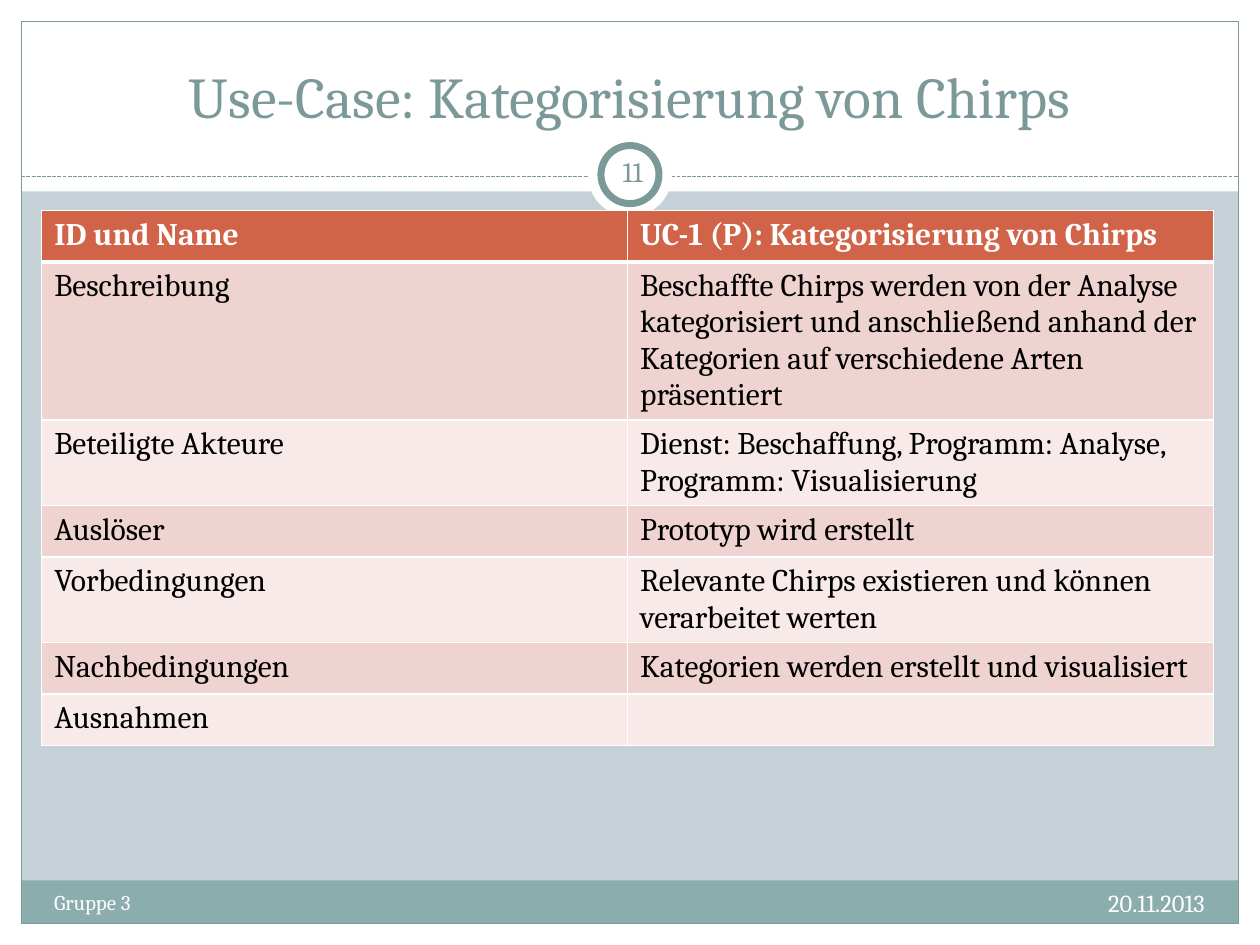
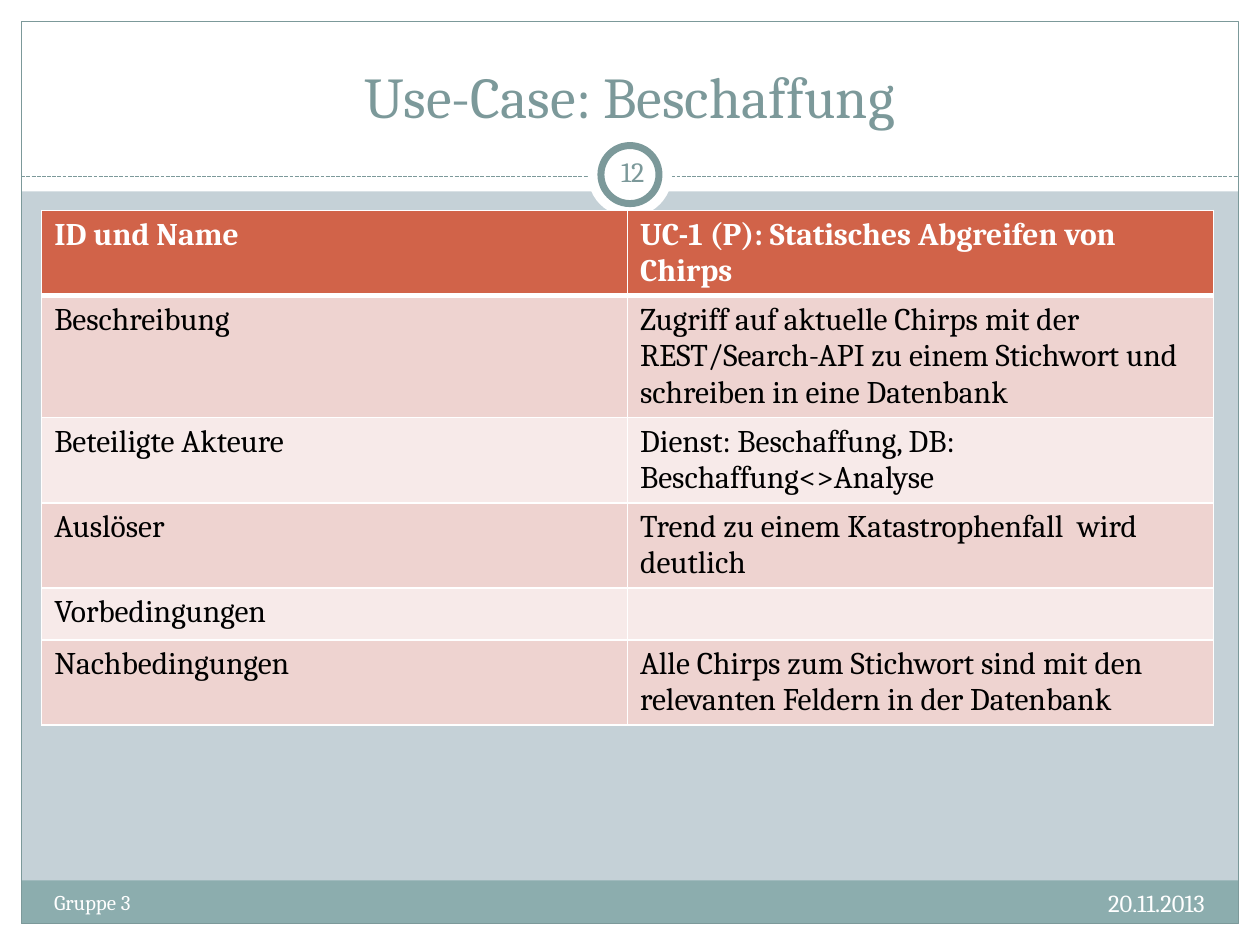
from lxml.etree import SubElement
from pptx import Presentation
from pptx.dml.color import RGBColor
from pptx.enum.dml import MSO_LINE_DASH_STYLE as Dash
from pptx.enum.shapes import MSO_CONNECTOR_TYPE as Connector, MSO_SHAPE as Shape
from pptx.enum.text import MSO_ANCHOR as Anchor, MSO_AUTO_SIZE as AutoSize, PP_ALIGN as Align
from pptx.oxml.ns import qn
from pptx.util import Cm, Pt

COLOURS = {
    "background": "C5D1D7", "white": "FFFFFF", "black": "000000",
    "accent": "7C999A", "footer": "8CADAE",
    "header": "D16349", "odd_row": "EED3D0", "even_row": "F7EAE9",
}
FONT = "Cambria"
WIDTH, HEIGHT = 25.4, 19.05
MARGIN = 0.43
TITLE_BOX = (0.84, 0.64, 23.7, 2.11)
TABLE_BOX = (0.84, 4.24, 23.62)
ROW_HEIGHT = 1.04
BADGE_CENTRE = (WIDTH / 2, 3.52)

USE_CASES = [
    (11, "Use-Case: Kategorisierung von Chirps", [
        ("ID und Name", "UC-1 (P): Kategorisierung von Chirps"),
        ("Beschreibung", "Beschaffte Chirps werden von der Analyse kategorisiert und "
                         "anschließend anhand der Kategorien auf verschiedene Arten präsentiert"),
        ("Beteiligte Akteure", "Dienst: Beschaffung, Programm: Analyse, "
                               "Programm: Visualisierung"),
        ("Auslöser", "Prototyp wird erstellt"),
        ("Vorbedingungen", "Relevante Chirps existieren und können verarbeitet werten"),
        ("Nachbedingungen", "Kategorien werden erstellt und visualisiert"),
        ("Ausnahmen", ""),
    ]),
    (12, "Use-Case: Beschaffung", [
        ("ID und Name", "UC-1 (P): Statisches Abgreifen von Chirps"),
        ("Beschreibung", "Zugriff auf aktuelle Chirps mit der REST/Search-API zu einem "
                         "Stichwort und schreiben in eine Datenbank"),
        ("Beteiligte Akteure", "Dienst: Beschaffung, DB: Beschaffung<>Analyse"),
        ("Auslöser", "Trend zu einem Katastrophenfall  wird deutlich"),
        ("Vorbedingungen", ""),
        ("Nachbedingungen", "Alle Chirps zum Stichwort sind mit den relevanten Feldern "
                            "in der Datenbank"),
    ]),
]


def colour(key):
    """Return a palette colour."""
    return RGBColor.from_string(COLOURS[key])


def cm_box(box):
    """Turn centimetre numbers into lengths."""
    return [Cm(value) for value in box]


def write(frame, text, size, ink, align=Align.LEFT, anchor=Anchor.TOP):
    """Fill a text frame with one formatted paragraph."""
    frame.text = text
    frame.word_wrap = True
    frame.auto_size = AutoSize.NONE
    frame.vertical_anchor = anchor
    paragraph = frame.paragraphs[0]
    paragraph.alignment = align
    for run in paragraph.runs:
        run.font.name, run.font.size = FONT, Pt(size)
        run.font.color.rgb = colour(ink)


def add_panel(slide, box, fill=None, line=None, weight=0.75, kind=Shape.RECTANGLE):
    """Draw a flat shape with an optional fill and outline."""
    panel = slide.shapes.add_shape(kind, *cm_box(box))
    panel.shadow.inherit = False
    if fill:
        panel.fill.solid()
        panel.fill.fore_color.rgb = colour(fill)
    else:
        panel.fill.background()
    if line:
        panel.line.color.rgb = colour(line)
        panel.line.width = Pt(weight)
    else:
        panel.line.fill.background()


def add_label(slide, box, text, size, ink, inset=None, **layout):
    """Place a text box."""
    label = slide.shapes.add_textbox(*cm_box(box)).text_frame
    write(label, text, size, ink, **layout)
    if inset is not None:
        label.margin_left = label.margin_right = Cm(inset)
        label.margin_top = label.margin_bottom = Cm(inset)


def add_frame(slide):
    """Draw the white margins, title band, footer band, outline and divider."""
    slide.background.fill.solid()
    slide.background.fill.fore_color.rgb = colour("background")
    inner_width, inner_height = WIDTH - 2 * MARGIN, HEIGHT - 2 * MARGIN
    for box in [
        (0, HEIGHT - MARGIN, WIDTH, MARGIN),
        (0, 0, WIDTH, 3.86),
        (0, 0, MARGIN, HEIGHT),
        (WIDTH - MARGIN, 0, MARGIN, HEIGHT),
    ]:
        add_panel(slide, box, "white")
    add_panel(slide, (MARGIN, 17.75, inner_width, 0.87), "footer")
    add_panel(slide, (MARGIN, MARGIN, inner_width, inner_height), line="accent")
    divider = slide.shapes.add_connector(
        Connector.STRAIGHT, *cm_box((MARGIN, 3.56, WIDTH - MARGIN, 3.56)))
    divider.line.color.rgb = colour("accent")
    divider.line.width = Pt(0.75)
    divider.line.dash_style = Dash.SQUARE_DOT
    SubElement(divider._element.spPr, qn("a:effectLst"))


def add_badge(slide, centre, number):
    """Draw the ringed slide number around a centre point."""
    x, y = centre
    for diameter, ring in [(1.7, None), (1.17, "accent")]:
        box = (x - diameter / 2, y - diameter / 2, diameter, diameter)
        add_panel(slide, box, "white", ring, 4, Shape.OVAL)
    add_label(slide, (x - 0.58, y - 0.68, 1.27, 1.22), str(number), 16, "accent",
              inset=0.13, align=Align.CENTER, anchor=Anchor.MIDDLE)


def add_footer(slide):
    """Write the group and the date on the footer band."""
    add_label(slide, (0.84, 17.81, 9.96, 1.02), "Gruppe 3", 12, "white")
    add_label(slide, (16.08, 17.78, 8.46, 1.02), "20.11.2013", 14, "white",
              align=Align.RIGHT)


def place_title(slide, box, text):
    """Move and format the title placeholder, in front of the bands."""
    title = slide.shapes.title
    title.left, title.top, title.width, title.height = cm_box(box)
    write(title.text_frame, text, 33, "accent", Align.CENTER, Anchor.BOTTOM)
    slide.shapes._spTree.append(title._element)


def set_borders(cell, top=1, bottom=1):
    """Give a cell white borders, in points."""
    properties = cell._tc.get_or_add_tcPr()
    for side, weight in [("L", 1), ("R", 1), ("T", top), ("B", bottom)]:
        edge = SubElement(properties, qn(f"a:ln{side}"), w=str(Pt(weight)))
        fill = SubElement(edge, qn("a:solidFill"))
        SubElement(fill, qn("a:srgbClr"), val=COLOURS["white"])


def add_use_case(slide, box, rows):
    """Build the two-column table that describes a use case."""
    left, top, width = box
    table = slide.shapes.add_table(
        len(rows), 2, *cm_box((left, top, width, ROW_HEIGHT * len(rows)))).table
    for column in table.columns:
        column.width = Cm(width / 2)
    for index, entries in enumerate(rows):
        is_header = index == 0
        row_fill = "header" if is_header else "odd_row" if index % 2 else "even_row"
        table.rows[index].height = Cm(ROW_HEIGHT)
        for cell, entry in zip(table.rows[index].cells, entries):
            set_borders(cell, top=3 if index == 1 else 1, bottom=3 if is_header else 1)
            cell.fill.solid()
            cell.fill.fore_color.rgb = colour(row_fill)
            cell.text = entry
            for run in cell.text_frame.paragraphs[0].runs:
                run.font.name, run.font.size = FONT, Pt(18)
                run.font.bold = is_header
                run.font.color.rgb = colour("white" if is_header else "black")


def add_use_case_slide(deck, number, title, rows):
    """Add one complete use-case slide."""
    slide = deck.slides.add_slide(deck.slide_layouts[5])
    add_frame(slide)
    add_badge(slide, BADGE_CENTRE, number)
    place_title(slide, TITLE_BOX, title)
    add_use_case(slide, TABLE_BOX, rows)
    add_footer(slide)


deck = Presentation()
deck.slide_width, deck.slide_height = Cm(WIDTH), Cm(HEIGHT)
for use_case in USE_CASES:
    add_use_case_slide(deck, *use_case)
deck.save("out.pptx")
